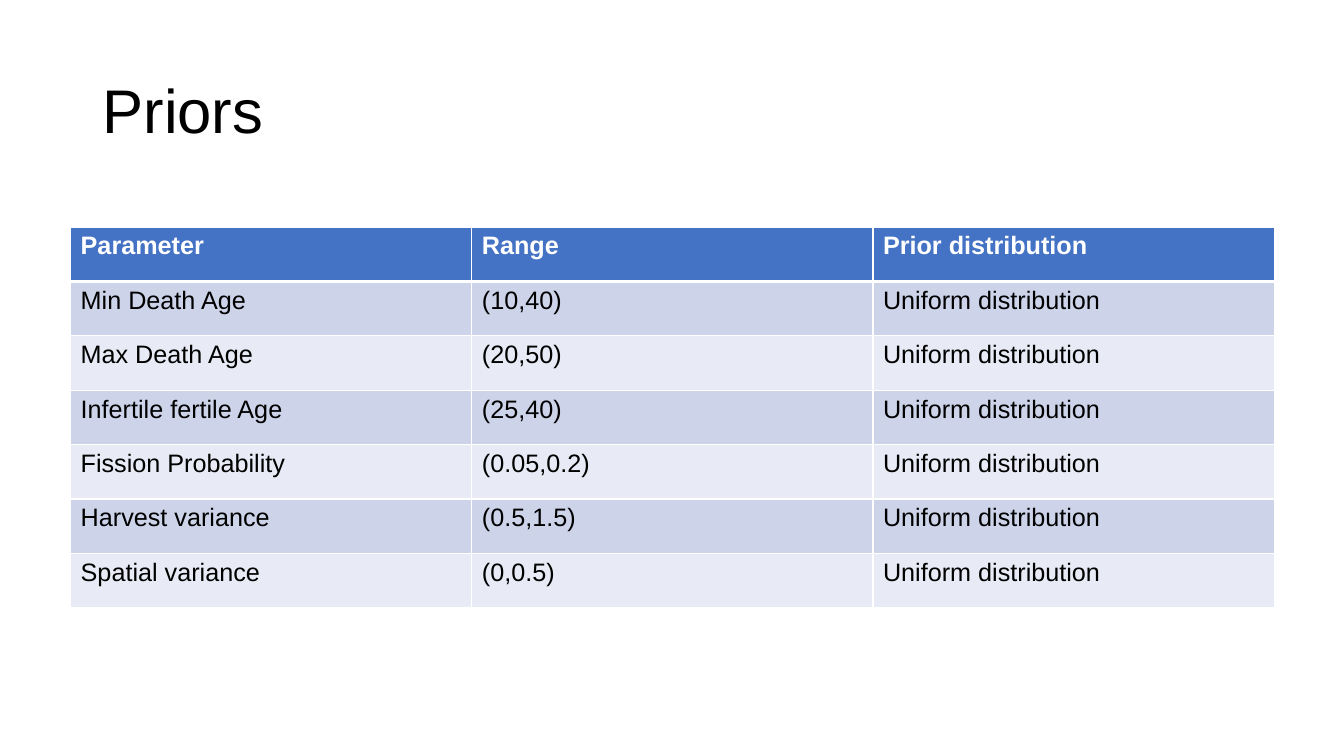
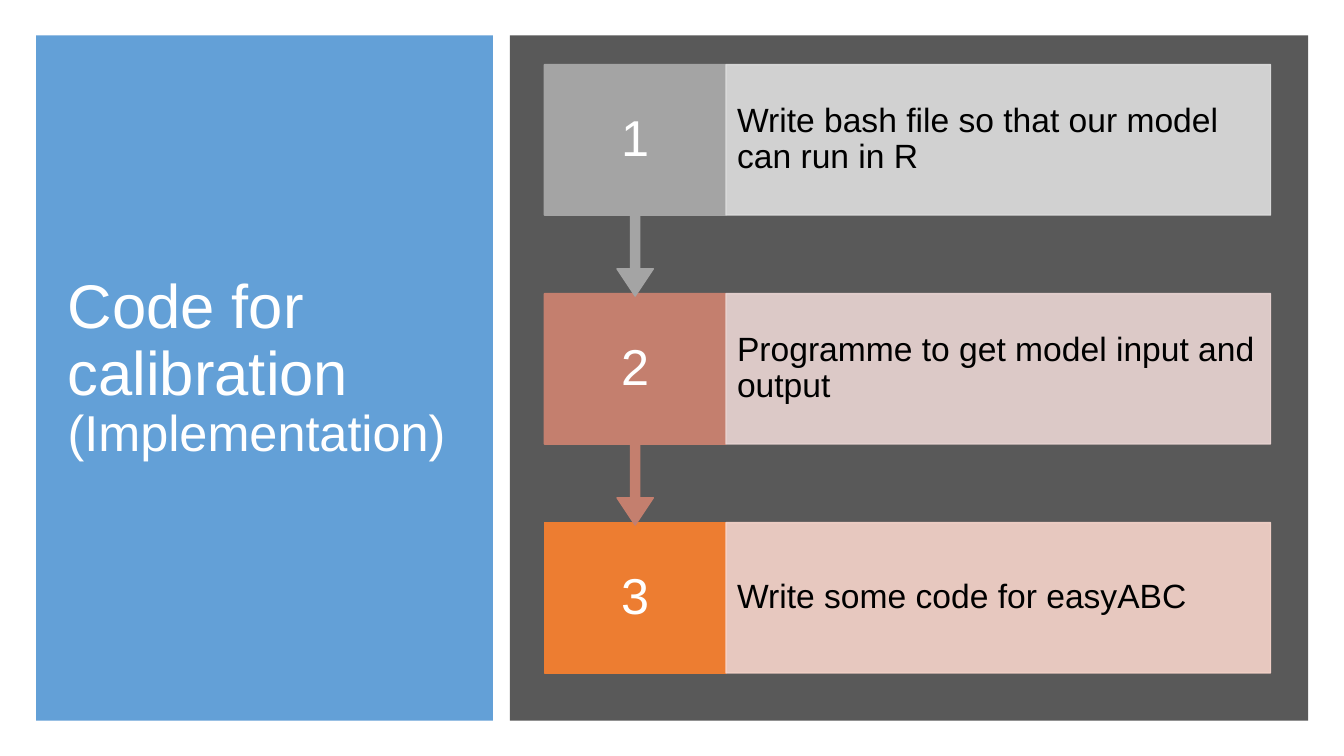
from lxml import etree
from pptx import Presentation
from pptx.dml import color
from pptx.enum import shapes, text
from pptx.oxml import ns
from pptx.util import Cm, Pt

FONT = "Arial"
WHITE, BLACK = "FFFFFF", "000000"
BLUE, SKY, DARK = "4472C4", "5B9BD5", "595959"
BANDS = ("CDD4EA", "E8EBF5")
PRIORS = [
    ("Parameter", "Range"),
    ("Min Death Age", "(10,40)"),
    ("Max Death Age", "(20,50)"),
    ("Infertile fertile Age", "(25,40)"),
    ("Fission Probability", "(0.05,0.2)"),
    ("Harvest variance", "(0.5,1.5)"),
    ("Spatial variance", "(0,0.5)"),
]
STEPS = [
    ("Write bash file so that our model can run in R", "A4A4A4", "DFDFDF"),
    ("Programme to get model input and output", "C47F6E", "EBD6D4"),
    ("Write some code for easyABC", "ED7D31", "F7D5CB"),
]


def rgb(code):
    """Turn a hex string into a colour."""
    return color.RGBColor.from_string(code)


def paint(fill, code, alpha=100):
    """Fill with one colour, see-through when alpha is below 100."""
    fill.solid()
    fill.fore_color.rgb = rgb(code)
    if alpha < 100:
        for node in fill._xPr.iter(ns.qn("a:srgbClr")):
            etree.SubElement(node, ns.qn("a:alpha"), val=str(alpha * 1000))


def style(para, size, code, bold=False, align=text.PP_ALIGN.LEFT, space=0.9):
    """Format a paragraph and its runs."""
    para.alignment = align
    para.line_spacing = space
    for run in para.runs:
        font = run.font
        font.name, font.size, font.bold = FONT, Pt(size), bold
        font.color.rgb = rgb(code)


def block(slide, kind, box, code, alpha=100, edge=False):
    """Draw a filled preset shape, edged in its own colour on request."""
    shape = slide.shapes.add_shape(kind, *map(Cm, box))
    shape.shadow.inherit = False
    paint(shape.fill, code, alpha)
    if edge:
        paint(shape.line.fill, code, alpha)
        shape.line.width = Pt(1)
    else:
        shape.line.fill.background()
    return shape


def label(shape, words, size, code, align, pad):
    """Write centred-height text in a shape with the given insets."""
    frame = shape.text_frame
    frame.word_wrap = True
    frame.vertical_anchor = text.MSO_ANCHOR.MIDDLE
    frame.margin_left = frame.margin_right = Cm(pad[0])
    frame.margin_top = frame.margin_bottom = Cm(pad[1])
    frame.text = words
    style(frame.paragraphs[0], size, code, align=align)


def head(slide, box, lines, code):
    """Place the title; lines pairs each paragraph with its size."""
    title = slide.shapes.title
    title.left, title.top, title.width, title.height = map(Cm, box)
    frame = title.text_frame
    frame.text = "\n".join(words for words, size in lines)
    frame.auto_size = text.MSO_AUTO_SIZE.NONE
    frame.vertical_anchor = text.MSO_ANCHOR.MIDDLE
    for para, (words, size) in zip(frame.paragraphs, lines):
        para.space_before = Pt(0)
        style(para, size, code)


def border(cell, top, bottom):
    """Give a cell white edges, with widths in points for top and bottom."""
    props = cell._tc.get_or_add_tcPr()
    for side, width in (("L", 1), ("R", 1), ("T", top), ("B", bottom)):
        line = etree.SubElement(props, ns.qn("a:ln" + side), w=str(Pt(width)))
        fill = etree.SubElement(line, ns.qn("a:solidFill"))
        etree.SubElement(fill, ns.qn("a:srgbClr"), val=WHITE)


def grid(slide, box, rows):
    """Draw a banded table with a header row."""
    frame = slide.shapes.add_table(len(rows), len(rows[0]), *map(Cm, box))
    for i, row in enumerate(rows):
        top = i == 0
        for j, words in enumerate(row):
            cell = frame.table.cell(i, j)
            cell.text = words
            border(cell, 3 if i == 1 else 1, 3 if top else 1)
            paint(cell.fill, BLUE if top else BANDS[(i - 1) % 2])
            style(cell.text_frame.paragraphs[0], 18,
                  WHITE if top else BLACK, bold=top, space=1.0)


def flow(slide, box, steps, gap=1.98):
    """Stack numbered steps, each but the last pointing to the next."""
    left, top, width, height = box
    tall = (height - gap * (len(steps) - 1)) / len(steps)
    wide = width / 4
    kinds = shapes.MSO_SHAPE
    for i, (words, deep, pale) in reversed(list(enumerate(steps))):
        y = top + i * (tall + gap)
        if i == len(steps) - 1:
            mark = block(slide, kinds.RECTANGLE, (left, y, wide, tall), deep, edge=True)
        else:
            spot = (left, y, wide, tall / 0.65)
            mark = block(slide, kinds.DOWN_ARROW_CALLOUT, spot, deep, edge=True)
            for k, value in enumerate((0.05, 0.1, 0.15, 0.65)):
                mark.adjustments[k] = value
        label(mark, str(i + 1), 36, WHITE, text.PP_ALIGN.CENTER, (0.33, 0.71))
        spot = (left + wide, y, width - wide, tall)
        note = block(slide, kinds.RECTANGLE, spot, pale, 90, edge=True)
        label(note, words, 24, BLACK, text.PP_ALIGN.LEFT, (0.28, 0.84))


def priors(slide):
    """Build the slide with the table of priors."""
    head(slide, (2.33, 1.01, 29.21, 3.68), [("Priors", 44)], BLACK)
    rows = [(name, span, "Uniform distribution" if i else "Prior distribution")
            for i, (name, span) in enumerate(PRIORS)]
    grid(slide, (1.78, 5.72, 30.33, 9.6), rows)


def code(slide):
    """Build the slide with the title panel and the steps."""
    x, y, wide, tall = 0.91, 0.89, 11.51, 17.27
    side = block(slide, shapes.MSO_SHAPE.RECTANGLE, (x, y, wide, tall), SKY, 95)
    slide.shapes.title.element.addprevious(side.element)
    head(slide, (x + 0.54, y + 0.74, 10.24, 15.34),
         [("Code for calibration", 44), ("(Implementation)", 36)], WHITE)
    x, wide = 12.85, 20.12
    block(slide, shapes.MSO_SHAPE.RECTANGLE, (x, y, wide, tall), DARK)
    flow(slide, (x + 0.87, y + 0.74, 18.3, 15.33), STEPS)


def main():
    """Build and save the deck."""
    deck = Presentation()
    deck.slide_width, deck.slide_height = Cm(33.87), Cm(19.05)
    for build in (priors, code):
        build(deck.slides.add_slide(deck.slide_layouts[5]))
    deck.save("out.pptx")


if __name__ == "__main__":
    main()
